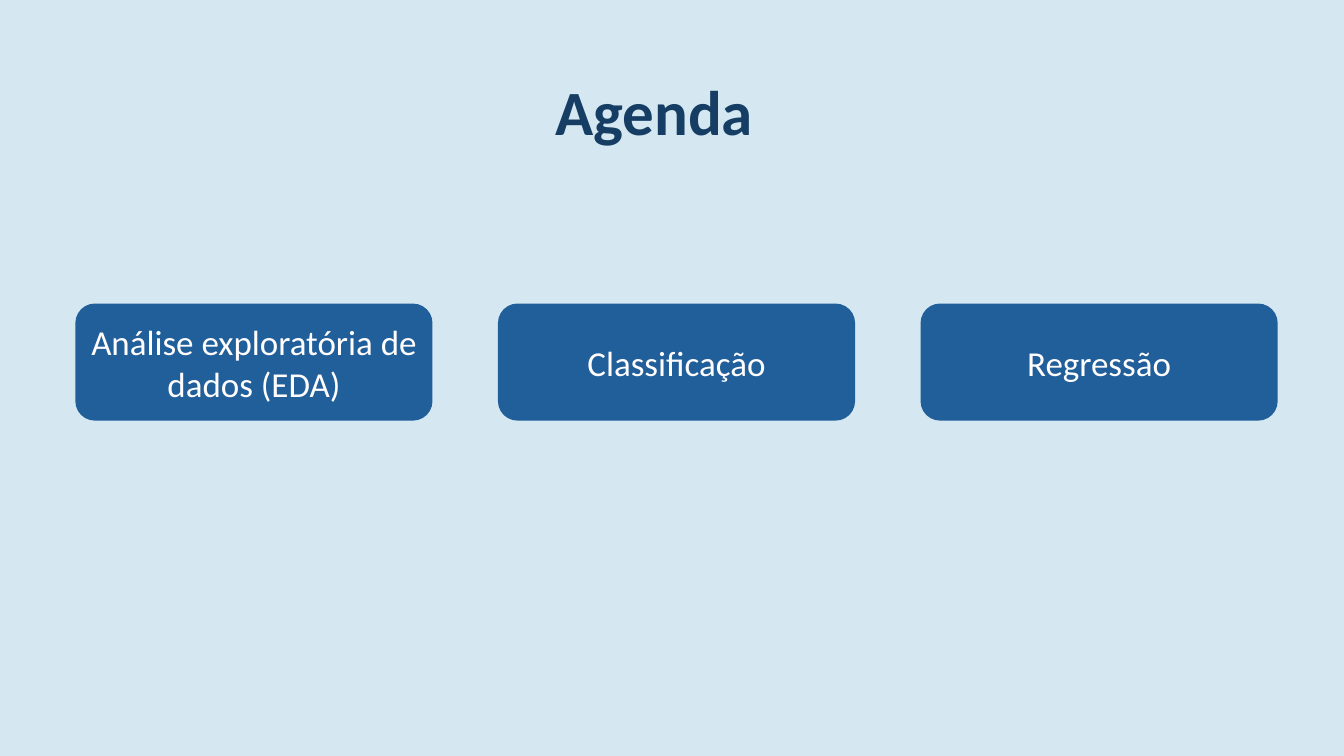
from pptx import Presentation
from pptx.dml.color import RGBColor
from pptx.enum.shapes import MSO_SHAPE
from pptx.enum.text import MSO_ANCHOR, PP_ALIGN
from pptx.util import Cm, Pt

PALE = RGBColor(0xD5, 0xE8, 0xF2)
BLUE = RGBColor(0x21, 0x5F, 0x9A)
NAVY = RGBColor(0x16, 0x3E, 0x64)
WHITE = RGBColor(0xFF, 0xFD, 0xFD)

TOPICS = ["Análise exploratória de dados (EDA)", "Classificação", "Regressão"]
LEFT, TOP, WIDTH, HEIGHT, STEP = 1.9, 7.65, 9, 2.95, 10.65

deck = Presentation()
deck.slide_width, deck.slide_height = Cm(33.87), Cm(19.05)
slide = deck.slides.add_slide(deck.slide_layouts[5])
slide.background.fill.solid()
slide.background.fill.fore_color.rgb = PALE

# Heading
title = slide.shapes.title
title.left, title.top, title.width, title.height = Cm(13.74), Cm(1.68), Cm(6.93), Cm(2.18)
title.text_frame.text = "Agenda"
title.text_frame.word_wrap = False
head = title.text_frame.paragraphs[0]
head.alignment = PP_ALIGN.LEFT
head.font.name = "Calibri"
head.font.size = Pt(45)
head.font.bold = True
head.font.color.rgb = NAVY

# Topic cards
for i, topic in enumerate(TOPICS):
    card = slide.shapes.add_shape(
        MSO_SHAPE.ROUNDED_RECTANGLE, Cm(LEFT + i * STEP), Cm(TOP), Cm(WIDTH), Cm(HEIGHT))
    card.shadow.inherit = False
    card.fill.solid()
    card.fill.fore_color.rgb = BLUE
    card.line.fill.background()
    frame = card.text_frame
    frame.text = topic
    frame.word_wrap = True
    frame.vertical_anchor = MSO_ANCHOR.MIDDLE
    frame.margin_left = frame.margin_right = Cm(0.2)
    label = frame.paragraphs[0]
    label.alignment = PP_ALIGN.CENTER
    label.font.name = "Calibri"
    label.font.size = Pt(25)
    label.font.color.rgb = WHITE

deck.save("out.pptx")
